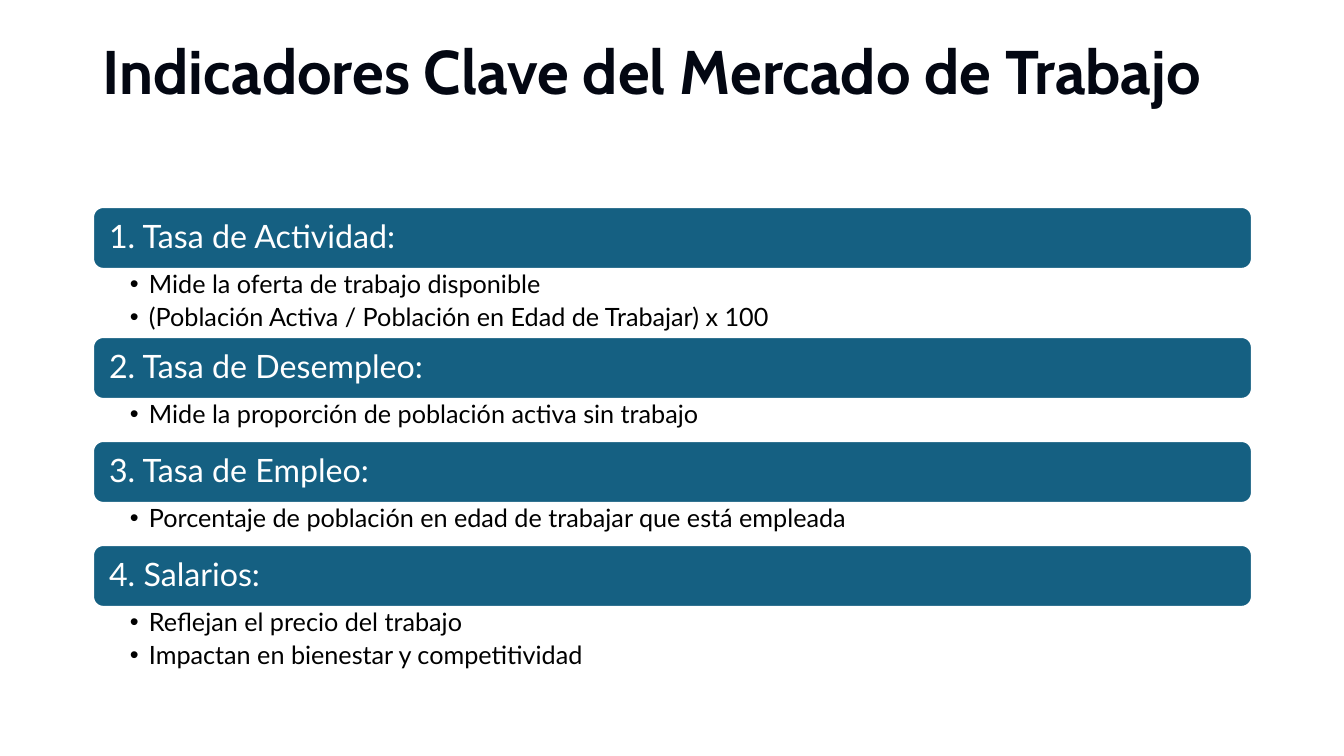
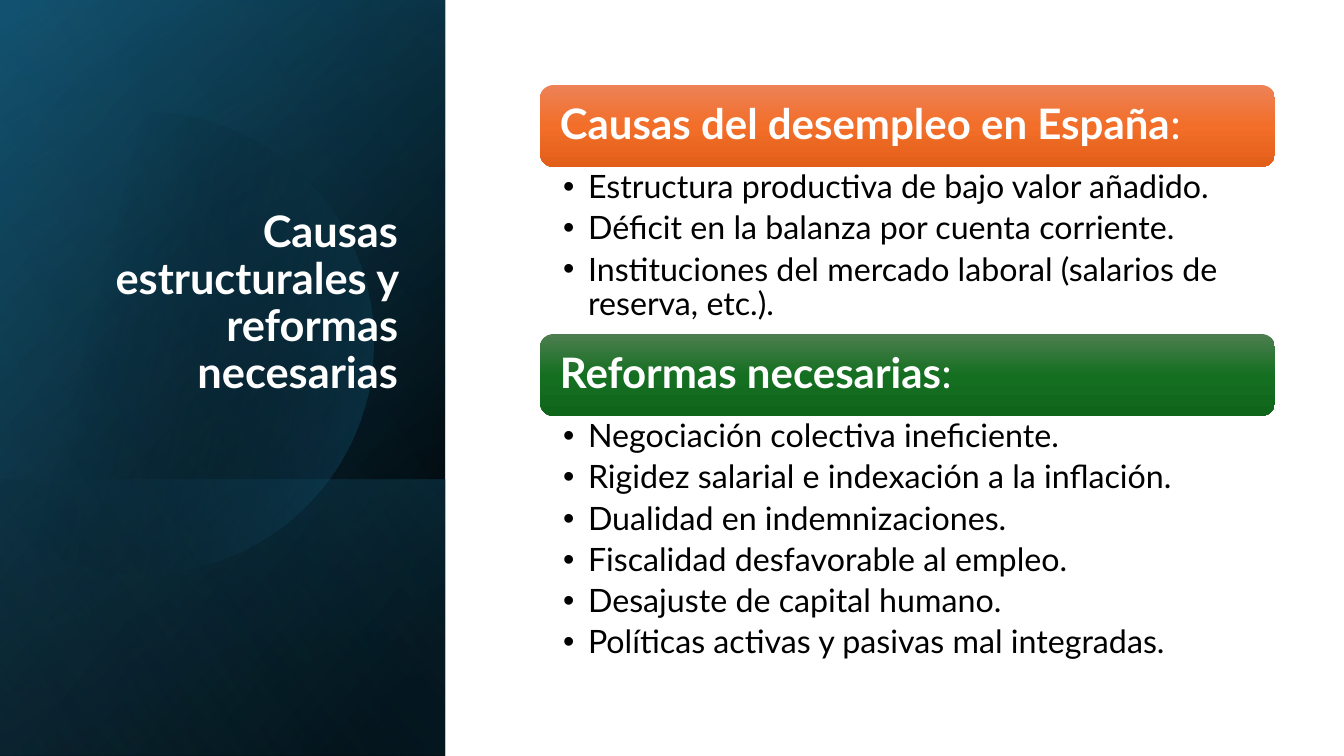
from dataclasses import dataclass
from math import acos, cos, sin

from pptx import Presentation
from pptx.dml.color import RGBColor
from pptx.enum.shapes import MSO_SHAPE
from pptx.enum.text import MSO_ANCHOR, MSO_AUTO_SIZE, PP_ALIGN
from pptx.oxml import parse_xml
from pptx.oxml.ns import nsdecls, qn
from pptx.util import Pt

RECT = MSO_SHAPE.RECTANGLE
ROUNDED = MSO_SHAPE.ROUNDED_RECTANGLE
LEFT, RIGHT = PP_ALIGN.LEFT, PP_ALIGN.RIGHT
TOP, MIDDLE, BOTTOM = MSO_ANCHOR.TOP, MSO_ANCHOR.MIDDLE, MSO_ANCHOR.BOTTOM
NO_FIT = MSO_AUTO_SIZE.NONE

SLIDE_W, SLIDE_H = 1344, 756
EMU_PER_PX = 12192000 / SLIDE_W
TITLE_ONLY = 5


@dataclass(frozen=True)
class Theme:
    title_font: str = "Cabin"
    body_font: str = "Lato"
    ink: str = "030712"
    text: str = "000000"
    white: str = "FFFFFF"
    teal: str = "156082"
    deep_teal: str = "104862"
    sky: str = "46B1E1"
    orange: tuple = ((0, "ED8257"), (50, "F26E29"), (100, "E25F1A"))
    green: tuple = ((0, "4D7E50"), (50, "156F21"), (100, "0F661B"))
    title_size: int = 44
    side_title_size: int = 31
    line_spacing: float = 0.9
    space_after: float = 0.2


@dataclass(frozen=True)
class ListStyle:
    left: int
    width: int
    band_height: int
    band_inset: int
    band_size: int
    inset_left: int
    inset_right: int
    inset_top: int
    indent: int
    size: int


THEME = Theme()
WIDE = ListStyle(93, 1159, 62, 13, 23, 37, 18, 3, 19, 18)
SIDE = ListStyle(540, 735, 82, 16, 30, 23, 23, 4, 25, 23)


def px(n):
    return round(n * EMU_PER_PX)


def write(tf, paragraphs, *, size, color, font=THEME.body_font, bold=False,
          align=LEFT, anchor=TOP, insets=(5, 5, 5, 5), indent=0):
    tf.word_wrap = True
    tf.auto_size = NO_FIT
    tf.vertical_anchor = anchor
    tf.margin_left, tf.margin_top, tf.margin_right, tf.margin_bottom = map(px, insets)
    for i, runs in enumerate(paragraphs):
        p = tf.add_paragraph() if i else tf.paragraphs[0]
        p.alignment = align
        p.line_spacing = THEME.line_spacing
        p.space_before = Pt(0)
        if indent:
            p.space_after = Pt(size * THEME.space_after)
            set_bullet(p, indent)
        for text, is_bold in [(runs, bold)] if isinstance(runs, str) else runs:
            r = p.add_run()
            r.text = text
            r.font.name = font
            r.font.size = Pt(size)
            r.font.bold = is_bold
            r.font.color.rgb = RGBColor.from_string(color)


def set_bullet(p, indent):
    pPr = p._p.get_or_add_pPr()
    pPr.set("marL", str(px(indent)))
    pPr.set("indent", str(-px(indent)))
    pPr.append(parse_xml(f'<a:buFont {nsdecls("a")} typeface="Arial"/>'))
    pPr.append(parse_xml(f'<a:buChar {nsdecls("a")} char="•"/>'))


def set_gradient(sp, stops, angle):
    sp.fill.gradient()
    spPr = sp.element.spPr
    marks = "".join(
        f'<a:gs pos="{pos * 1000}"><a:srgbClr val="{color}">'
        f'<a:alpha val="{(alpha or [100])[0] * 1000}"/></a:srgbClr></a:gs>'
        for pos, color, *alpha in stops)
    spPr.replace(spPr.find(qn("a:gradFill")), parse_xml(
        f'<a:gradFill {nsdecls("a")} rotWithShape="1"><a:gsLst>{marks}</a:gsLst>'
        f'<a:lin ang="{angle * 60000}" scaled="0"/></a:gradFill>'))


class Deck:
    def __init__(self):
        self.prs = Presentation()
        self.prs.slide_width, self.prs.slide_height = px(SLIDE_W), px(SLIDE_H)
        self.slide = None

    def new_slide(self):
        self.slide = self.prs.slides.add_slide(self.prs.slide_layouts[TITLE_ONLY])

    def title(self, text, box, **style):
        sp = self.slide.shapes.title
        sp.left, sp.top, sp.width, sp.height = map(px, box)
        write(sp.text_frame, [text], bold=True, **style)
        self.slide.shapes._spTree.append(sp.element)

    def shape(self, kind, box, fill, angle=90, line=None):
        sp = self.slide.shapes.add_shape(kind, *map(px, box))
        return self.paint(sp, fill, angle, line)

    def paint(self, sp, fill, angle, line=None):
        sp.shadow.inherit = False
        if isinstance(fill, str):
            sp.fill.solid()
            sp.fill.fore_color.rgb = RGBColor.from_string(fill)
        else:
            set_gradient(sp, fill, angle)
        if line:
            sp.line.color.rgb = RGBColor.from_string(line)
            sp.line.width = Pt(1.5)
        else:
            sp.line.fill.background()
        return sp

    def cut_disc(self, cx, cy, radius, fill, angle, steps=120):
        reach = acos(-cx / radius)
        turns = [reach * (2 * i / steps - 1) for i in range(steps + 1)]
        points = [(px(cx + radius * cos(t)), px(cy + radius * sin(t))) for t in turns]
        builder = self.slide.shapes.build_freeform(*points[0])
        builder.add_line_segments(points[1:], close=True)
        self.paint(builder.convert_to_shape(), fill, angle)

    def band(self, heading, top, style, fill, line):
        box = (style.left, top, style.width, style.band_height)
        sp = self.shape(ROUNDED, box, fill, line=line)
        inset = style.band_inset
        write(sp.text_frame, [heading], size=style.band_size, color=THEME.white,
              anchor=MIDDLE, insets=(inset, 0, inset, 0))

    def bullets(self, items, top, height, style):
        box = (style.left, top, style.width, height)
        sp = self.slide.shapes.add_textbox(*map(px, box))
        write(sp.text_frame, items, size=style.size, color=THEME.text,
              indent=style.indent,
              insets=(style.inset_left, style.inset_top,
                      style.inset_right, style.inset_top))

    def sections(self, top, style, sections, line=None):
        for heading, fill, height, items in sections:
            self.band(heading, top, style, fill, line)
            top += style.band_height
            self.bullets(items, top, height, style)
            top += height


def indicators(deck):
    deck.new_slide()
    deck.title("Indicadores Clave del Mercado de Trabajo", (93, 40, 1159, 70),
               size=THEME.title_size, color=THEME.ink, font=THEME.title_font,
               anchor=MIDDLE, insets=(10, 5, 10, 5))
    deck.sections(207, WIDE, [
        ("1. Tasa de Actividad:", THEME.teal, 68, [
            "Mide la oferta de trabajo disponible",
            "(Población Activa / Población en Edad de Trabajar) x 100"]),
        ("2. Tasa de Desempleo:", THEME.teal, 42, [
            "Mide la proporción de población activa sin trabajo"]),
        ("3. Tasa de Empleo:", THEME.teal, 42, [
            "Porcentaje de población en edad de trabajar que está empleada"]),
        ("4. Salarios:", THEME.teal, 68, [
            "Reflejan el precio del trabajo",
            "Impactan en bienestar y competitividad"]),
    ], line=THEME.white)


def causes(deck):
    black, teal = THEME.text, THEME.teal
    panel, foot = (0, 0, 445, SLIDE_H), (0, 480, 445, SLIDE_H - 480)
    deck.new_slide()
    deck.shape(RECT, panel, [(8, black), (100, THEME.deep_teal)], 220)
    deck.shape(RECT, panel, [(0, black, 0), (99, teal, 46)], 240)
    deck.shape(RECT, foot, [(2, teal, 29), (100, black, 30)], 140)
    deck.cut_disc(142, 343, 231, [(29, black, 0), (100, teal, 43)], 14)
    deck.shape(RECT, panel, [(0, black, 0), (99, THEME.sky, 11)], 150)
    deck.title("Causas estructurales y reformas necesarias", (65, 185, 343, 218),
               size=THEME.side_title_size, color=THEME.white, align=RIGHT,
               anchor=BOTTOM, insets=(10, 5, 10, 5))
    deck.sections(85, SIDE, [
        ([("Causas del desempleo en España", True), (":", False)], THEME.orange, 167, [
            "Estructura productiva de bajo valor añadido.",
            "Déficit en la balanza por cuenta corriente.",
            "Instituciones del mercado laboral (salarios de reserva, etc.)."]),
        ([("Reformas necesarias", True), (":", False)], THEME.green, 267, [
            "Negociación colectiva ineficiente.",
            "Rigidez salarial e indexación a la inflación.",
            "Dualidad en indemnizaciones.",
            "Fiscalidad desfavorable al empleo.",
            "Desajuste de capital humano.",
            "Políticas activas y pasivas mal integradas."]),
    ])


def main():
    deck = Deck()
    indicators(deck)
    causes(deck)
    deck.prs.save("out.pptx")


if __name__ == "__main__":
    main()
